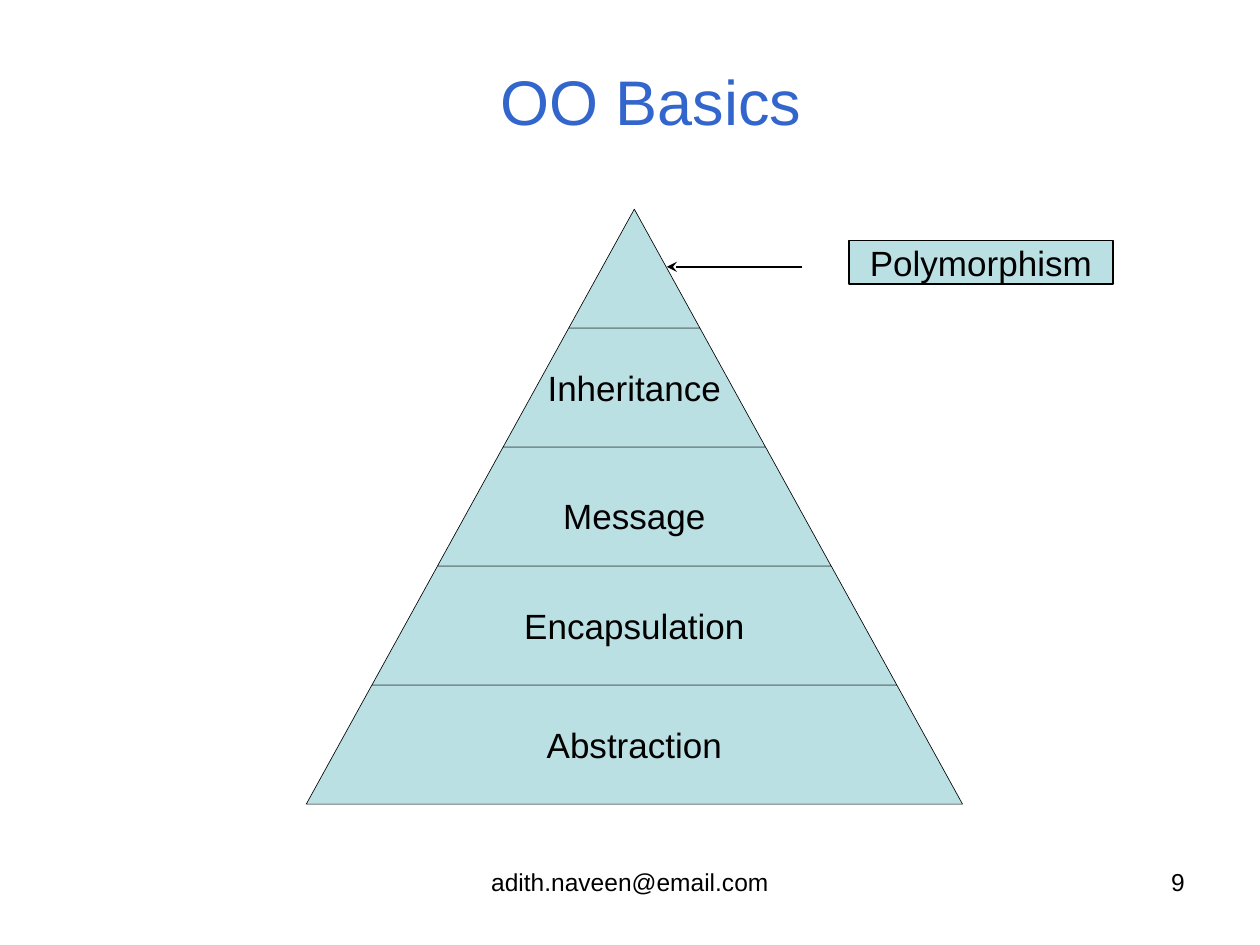
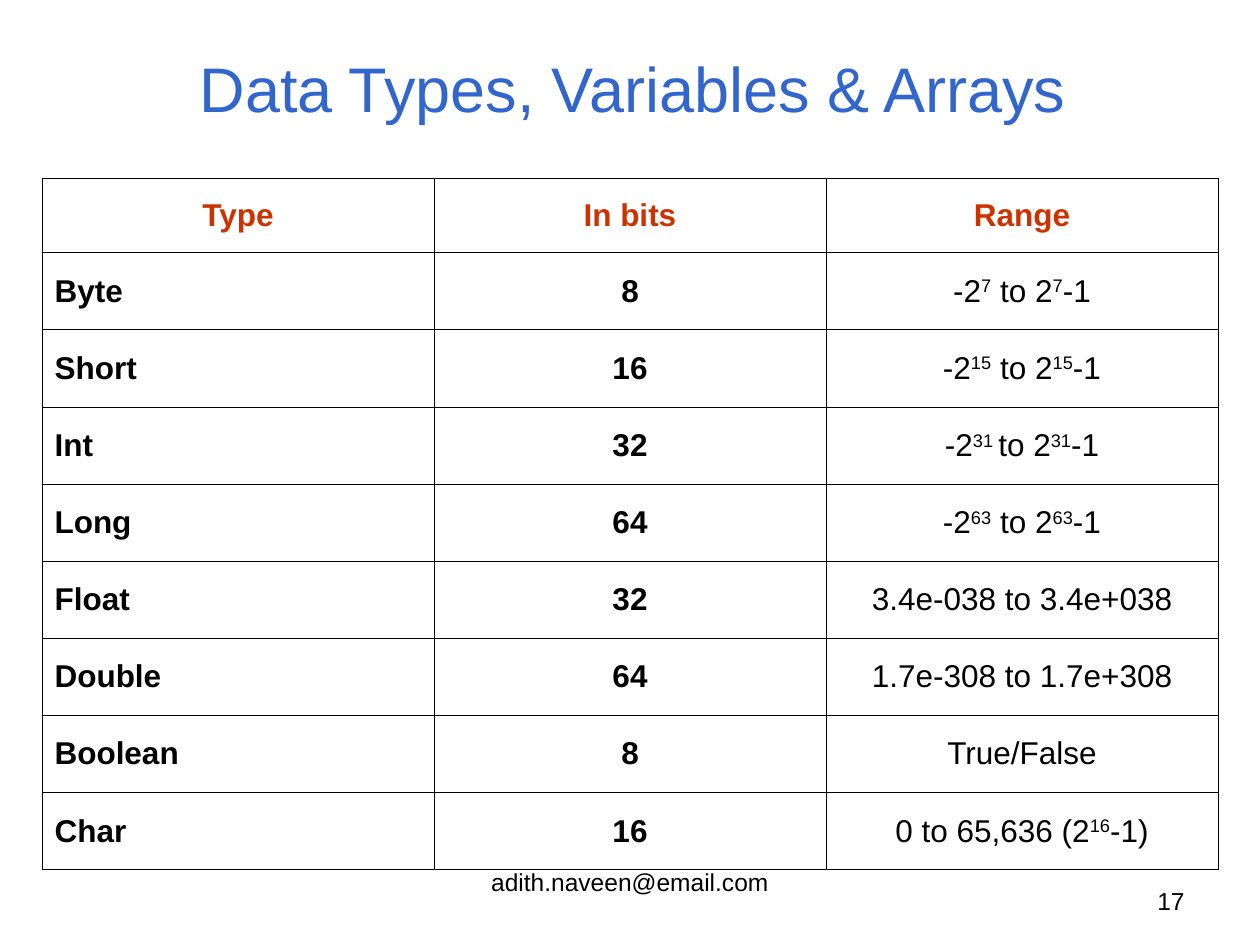
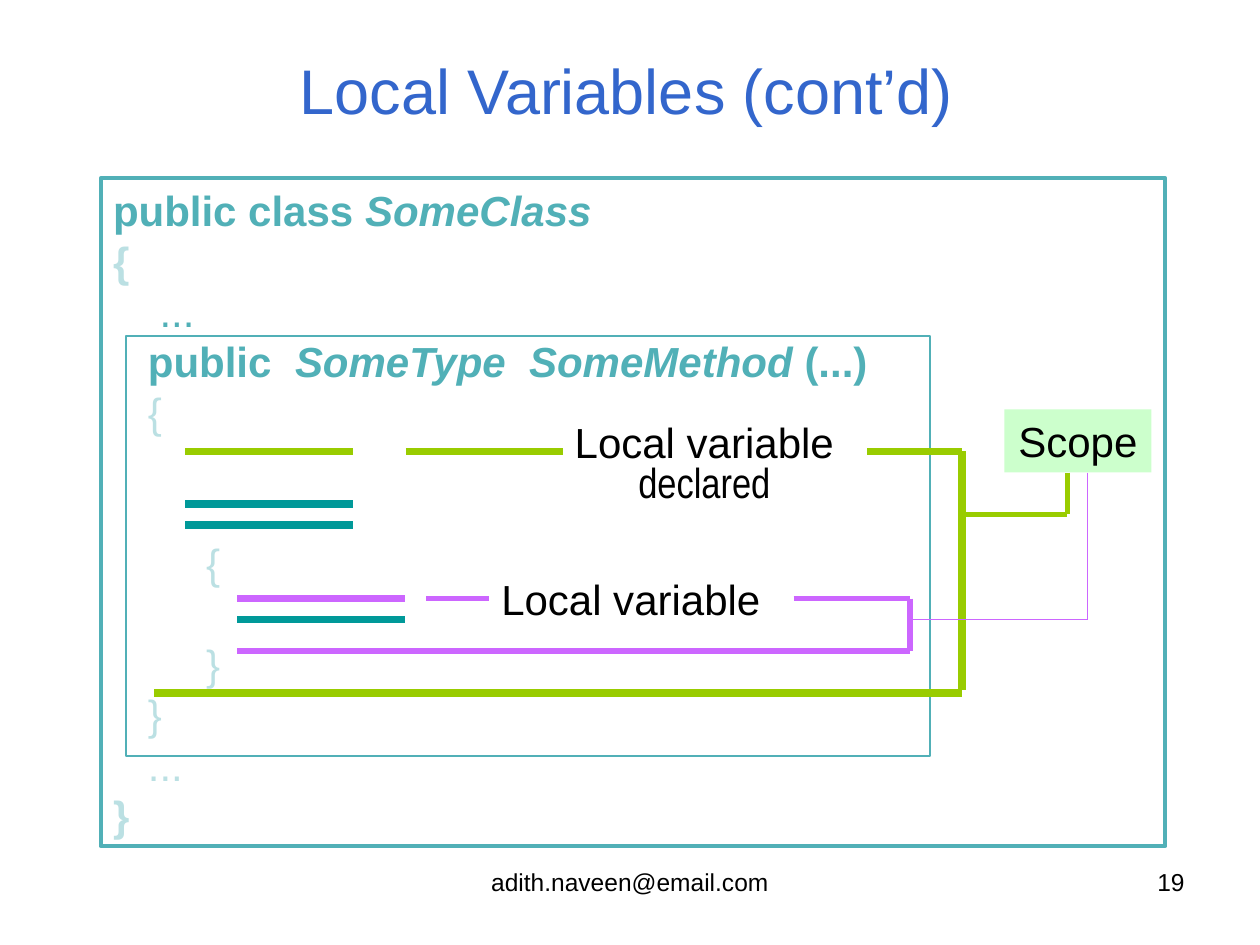
from lxml import etree
from pptx import Presentation
from pptx.dml.color import RGBColor
from pptx.enum.shapes import MSO_CONNECTOR, MSO_SHAPE
from pptx.enum.text import MSO_ANCHOR, PP_ALIGN
from pptx.oxml.ns import qn
from pptx.util import Pt

LEFT, CENTER, RIGHT = PP_ALIGN.LEFT, PP_ALIGN.CENTER, PP_ALIGN.RIGHT
TOP, MIDDLE = MSO_ANCHOR.TOP, MSO_ANCHOR.MIDDLE
RECTANGLE, STRAIGHT = MSO_SHAPE.RECTANGLE, MSO_CONNECTOR.STRAIGHT

BLACK = RGBColor(0x00, 0x00, 0x00)
BLUE = RGBColor(0x33, 0x66, 0xCC)
RED = RGBColor(0xCC, 0x33, 0x00)
PALE_TEAL = RGBColor(0xBB, 0xE0, 0xE3)
TEAL = RGBColor(0x51, 0xB0, 0xB7)
DARK_TEAL = RGBColor(0x00, 0x99, 0x99)
LIME = RGBColor(0x99, 0xCC, 0x00)
VIOLET = RGBColor(0xCC, 0x66, 0xFF)
MINT = RGBColor(0xCC, 0xFF, 0xCC)

FONT, NARROW_FONT = "Arial", "Arial Narrow"
CODE_SIZE, CODE_PITCH = 24, 28.8


class SlideBuilder:
    """Holds the deck style and draws elements on the current slide."""

    def __init__(self):
        self.deck = Presentation()
        self.deck.slide_width, self.deck.slide_height = Pt(720), Pt(540)
        self.page = None

    def start(self, title, title_area, number, number_area=(516, 492, 168, 37.5)):
        self.page = self.deck.slides.add_slide(self.deck.slide_layouts[6])
        self.text("adith.naveen@email.com", (246, 492, 228, 37.5), 14)
        self.text(number, number_area, 14, align=RIGHT)
        self.text(title, title_area, 36, BLUE, anchor=MIDDLE)

    def style(self, para, size, color=BLACK, align=CENTER, bold=False, spacing=None):
        para.alignment = align
        if spacing:
            para.line_spacing = spacing
        font = para.font
        font.name, font.size, font.bold = FONT, Pt(size), bold
        font.color.rgb = color

    def fill_frame(self, frame, text, size, color=BLACK, align=CENTER,
                   anchor=TOP, wrap=True, spacing=None):
        frame.word_wrap = wrap
        frame.vertical_anchor = anchor
        para = frame.paragraphs[0]
        para.add_run().text = text
        self.style(para, size, color, align, spacing=spacing)
        return para

    def text(self, text, area, size, color=BLACK, **options):
        box = self.page.shapes.add_textbox(*map(Pt, area))
        return self.fill_frame(box.text_frame, text, size, color, **options)

    def paint(self, shape, fill, line, width):
        shape.shadow.inherit = False
        if fill is None:
            shape.fill.background()
        else:
            shape.fill.solid()
            shape.fill.fore_color.rgb = fill
        if line is None:
            shape.line.fill.background()
        else:
            shape.line.color.rgb = line
            shape.line.width = Pt(width)

    def rectangle(self, area, fill=None, line=None, width=1):
        box = self.page.shapes.add_shape(RECTANGLE, *map(Pt, area))
        self.paint(box, fill, line, width)
        return box.text_frame

    def polygon(self, points, fill, line, width):
        corners = [(Pt(x), Pt(y)) for x, y in points]
        builder = self.page.shapes.build_freeform(*corners[0], scale=1.0)
        builder.add_line_segments(corners[1:], close=True)
        shape = builder.convert_to_shape()
        self.paint(shape, fill, line, width)
        return shape.text_frame

    def line(self, x1, y1, x2, y2, color, width, arrow=None):
        connector = self.page.shapes.add_connector(STRAIGHT, *map(Pt, (x1, y1, x2, y2)))
        connector.line.color.rgb = color
        connector.line.width = Pt(width)
        if arrow:
            etree.SubElement(connector.line._get_or_add_ln(), qn("a:tailEnd"), type=arrow)
        etree.SubElement(connector._element.spPr, qn("a:effectLst"))

    def code(self, frame, lines):
        frame.word_wrap = True
        frame.vertical_anchor = TOP
        for index, (blank_lines, color, bold, spans) in enumerate(lines):
            para = frame.paragraphs[0] if index == 0 else frame.add_paragraph()
            for position, piece in enumerate(spans):
                span = para.add_run()
                span.text = piece
                if position % 2:
                    span.font.italic = True
            self.style(para, CODE_SIZE, color, LEFT, bold, Pt(CODE_PITCH))
            if blank_lines:
                para.space_before = Pt(blank_lines * CODE_PITCH)

    def table(self, left, top, column_width, header_height, row_height, rows):
        columns = len(rows[0])
        height = header_height + row_height * (len(rows) - 1)
        table = self.page.shapes.add_table(
            len(rows), columns, *map(Pt, (left, top, column_width * columns, height))).table
        table.first_row = table.horz_banding = False
        for column in table.columns:
            column.width = Pt(column_width)
        for row_index, values in enumerate(rows):
            header = row_index == 0
            table.rows[row_index].height = Pt(header_height if header else row_height)
            for column_index, value in enumerate(values):
                cell = table.cell(row_index, column_index)
                cell.vertical_anchor = MIDDLE
                cell.fill.background()
                self.border(cell)
                para = cell.text_frame.paragraphs[0]
                self.powers(para, value)
                self.style(para, 18, RED if header else BLACK,
                           CENTER if header or column_index else LEFT,
                           bold=header or column_index < 2)

    def border(self, cell):
        properties = cell._tc.get_or_add_tcPr()
        for index, side in enumerate(("lnL", "lnR", "lnT", "lnB")):
            edge = etree.Element(qn(f"a:{side}"), w=str(Pt(0.45)))
            fill = etree.SubElement(edge, qn("a:solidFill"))
            etree.SubElement(fill, qn("a:srgbClr"), val=str(BLACK))
            properties.insert(index, edge)

    def powers(self, para, value):
        for position, piece in enumerate(value.split("^")):
            span = para.add_run()
            span.text = piece
            if position % 2:
                span._r.get_or_add_rPr().set("baseline", "30000")


def build_pyramid(builder):
    builder.start("OO Basics", (204, 37.5, 336, 40), "9")
    middle, apex, tier_height, step = 362.5, 119.5, 68, 37.5
    tiers = [("", None), ("Inheritance", None), ("Message", 1.4),
             ("Encapsulation", None), ("Abstraction", None)]
    for level, (label, spacing) in enumerate(tiers):
        top = apex + level * tier_height
        bottom = top + tier_height
        upper, lower = level * step, (level + 1) * step
        corners = [(middle - lower, bottom), (middle + lower, bottom),
                   (middle + upper, top), (middle - upper, top)]
        frame = builder.polygon(corners, PALE_TEAL, BLACK, 0.37)
        if label:
            builder.fill_frame(frame, label, 20, anchor=MIDDLE, wrap=False, spacing=spacing)
    builder.line(458.5, 152.5, 381, 152.5, BLACK, 1, arrow="stealth")
    frame = builder.rectangle((485, 137.5, 151, 25), PALE_TEAL, BLACK)
    builder.fill_frame(frame, "Polymorphism", 20, anchor=MIDDLE, wrap=False)


def build_data_types(builder):
    builder.start("Data Types, Variables & Arrays", (24, 30, 675, 40), "17",
                  (516, 502.5, 168, 25))
    builder.table(24, 102, 224, 42.4, 44.1, [
        ("Type", "In bits", "Range"),
        ("Byte", "8", "-2^7^ to 2^7^-1"),
        ("Short", "16", "-2^15^ to 2^15^-1"),
        ("Int", "32", "-2^31 ^to 2^31^-1"),
        ("Long", "64", "-2^63^ to 2^63^-1"),
        ("Float", "32", "3.4e-038 to 3.4e+038"),
        ("Double", "64", "1.7e-308 to 1.7e+308"),
        ("Boolean", "8", "True/False"),
        ("Char", "16", "0 to 65,636 (2^16^-1)"),
    ])


def build_local_variables(builder):
    builder.start("Local Variables (cont’d)", (52, 6, 612, 90), "19")
    builder.rectangle((72, 192, 459.5, 240), line=TEAL, width=0.75)
    class_frame = builder.rectangle((57.5, 102, 608.5, 381.5), line=TEAL, width=2.25)
    builder.code(class_frame, [
        (0, TEAL, True, ["public class ", "SomeClass"]),
        (0, PALE_TEAL, True, ["{"]),
        (0, TEAL, False, ["    ..."]),
        (0, TEAL, True, ["   public  ", "SomeType  SomeMethod ", "(...)"]),
        (0, PALE_TEAL, False, ["   {"]),
        (2, PALE_TEAL, False, ["        {"]),
        (1, PALE_TEAL, False, ["        }"]),
        (0, PALE_TEAL, False, ["   }"]),
        (0, PALE_TEAL, False, ["   ..."]),
        (0, PALE_TEAL, True, ["}"]),
    ])

    outer_label = builder.text("Local variable ", (309.5, 240, 186, 53), CODE_SIZE,
                               spacing=Pt(0.8 * CODE_PITCH))
    span = outer_label.add_run()
    span.text = "declared"
    span.font.name = NARROW_FONT
    builder.text("Local variable", (267.5, 324, 186, 36), CODE_SIZE, spacing=Pt(CODE_PITCH))

    statements = [(106, 258, LIME), (106, 288, DARK_TEAL), (106, 300, DARK_TEAL),
                  (135.5, 342, VIOLET), (135.5, 354, DARK_TEAL)]
    for left, y, color in statements:
        builder.line(left, y, left + 96, y, color, 4.5)

    scope_lines = [
        (LIME, 4.5, [(232, 258, 322, 258), (549.5, 258, 495.5, 258),
                     (549.5, 258, 549.5, 394.5), (549.5, 396, 88, 396)]),
        (VIOLET, 3, [(243.5, 342, 279.5, 342), (453.5, 342, 520, 342),
                     (520, 342, 520, 372), (135.5, 372, 520, 372)]),
        (LIME, 3, [(549.5, 294, 610, 294), (610, 270, 610, 294)]),
        (VIOLET, 0.75, [(520, 354, 621.5, 354), (621.5, 270, 621.5, 354)]),
    ]
    for color, width, segments in scope_lines:
        for segment in segments:
            builder.line(*segment, color, width)

    scope_frame = builder.rectangle((574, 234, 84, 36), MINT)
    builder.fill_frame(scope_frame, "Scope", CODE_SIZE, spacing=Pt(CODE_PITCH))


def main():
    builder = SlideBuilder()
    build_pyramid(builder)
    build_data_types(builder)
    build_local_variables(builder)
    builder.deck.save("out.pptx")


if __name__ == "__main__":
    main()
